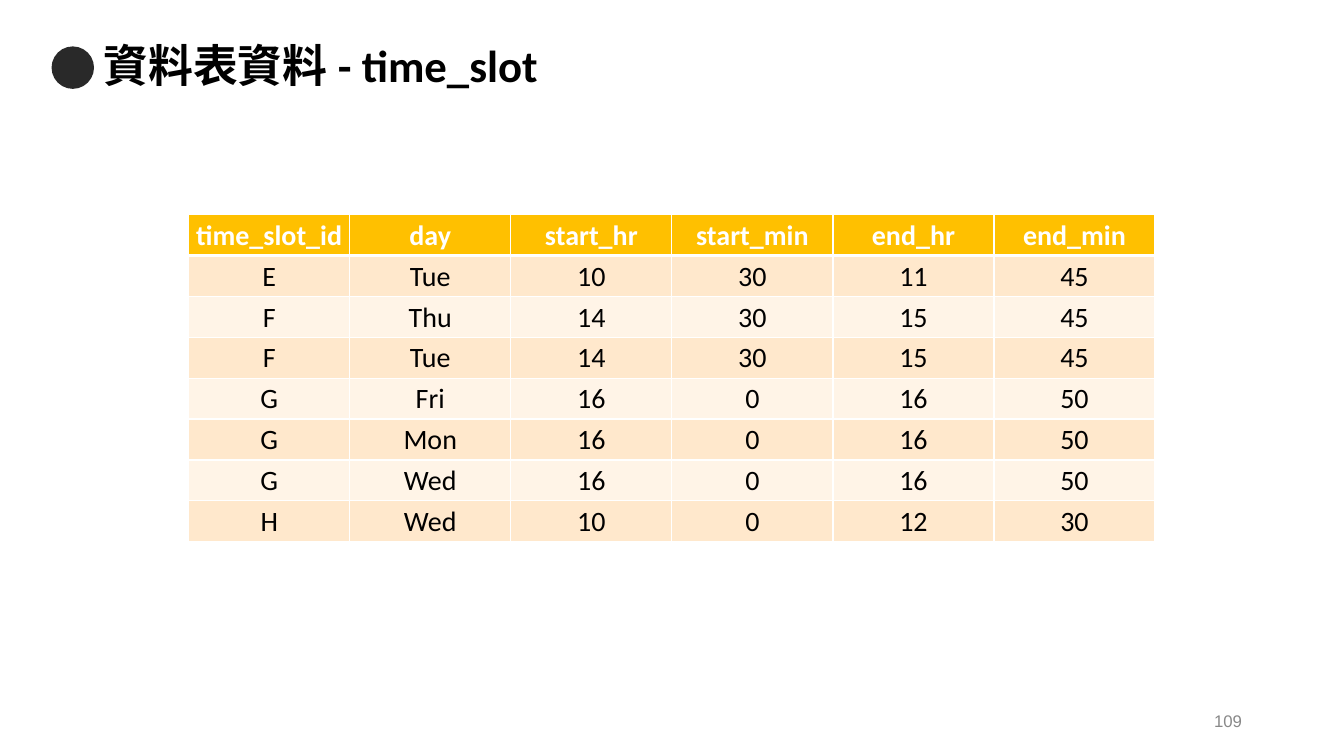
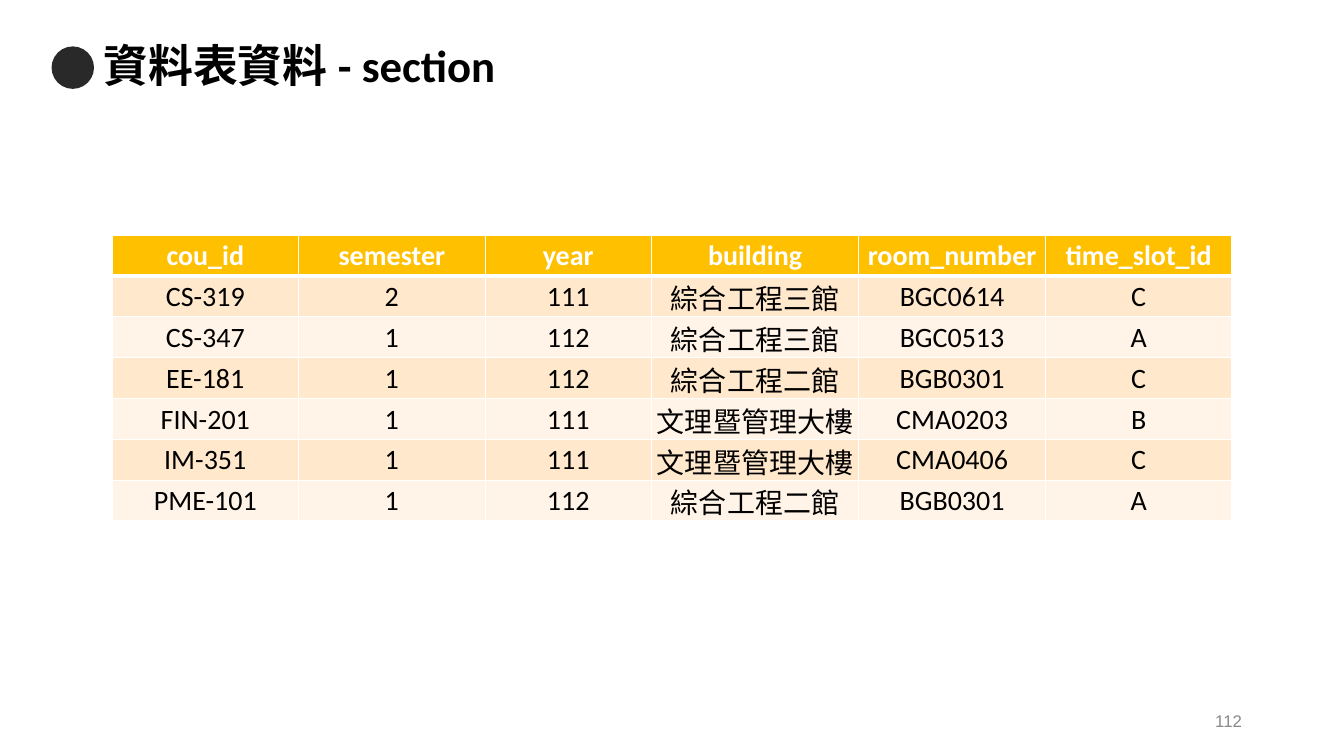
from dataclasses import dataclass

from pptx import Presentation
from pptx.dml.color import RGBColor as Rgb
from pptx.enum.lang import MSO_LANGUAGE_ID as Lang
from pptx.enum.shapes import MSO_SHAPE as Shape
from pptx.enum.text import MSO_ANCHOR as Anchor, PP_ALIGN as Align
from pptx.oxml.ns import qn
from pptx.util import Cm, Pt
from lxml.etree import SubElement


@dataclass(frozen=True)
class Theme:
    ink: str = "000000"
    paper: str = "FFFFFF"
    marker: str = "292929"
    muted: str = "888888"
    header: str = "FFC000"
    bands: tuple = ("FFE8CC", "FFF4E7")
    body_font: str = "Calibri"
    number_font: str = "Arial"
    title_size: int = 32
    table_size: int = 20
    number_size: int = 12
    grid_weight: int = 1
    header_weight: int = 3


class Deck:
    width, height = 33.87, 19.05
    row_height = 1.03

    def __init__(self, theme):
        self.theme = theme
        self.prs = Presentation()
        self.prs.slide_width = Cm(self.width)
        self.prs.slide_height = Cm(self.height)
        self.slide = None

    def add_slide(self, title, number):
        self.slide = self.prs.slides.add_slide(self.prs.slide_layouts[6])
        self.marker()
        self.title(title)
        self.page_number(number)

    def add_text(self, paragraph, text, size, color, font=None, bold=False):
        run = paragraph.add_run()
        run.text = text
        run.font.name = font or self.theme.body_font
        run.font.size = Pt(size)
        run.font.bold = bold
        run.font.color.rgb = Rgb.from_string(color)
        run.font.language_id = Lang.TRADITIONAL_CHINESE

    def text_line(self, left, top, width, height):
        frame = self.slide.shapes.add_textbox(
            Cm(left), Cm(top), Cm(width), Cm(height)).text_frame
        frame.word_wrap = True
        frame.vertical_anchor = Anchor.MIDDLE
        return frame.paragraphs[0]

    def marker(self):
        dot = self.slide.shapes.add_shape(
            Shape.OVAL, Cm(1.3), Cm(1.17), Cm(1.07), Cm(1.07))
        dot.shadow.inherit = False
        dot.fill.solid()
        dot.fill.fore_color.rgb = Rgb.from_string(self.theme.marker)
        dot.line.fill.background()

    def title(self, text):
        heading = self.text_line(2.36, 0.89, 29.18, 1.63)
        heading.line_spacing = 0.9
        self.add_text(heading, text, self.theme.title_size, self.theme.ink, bold=True)

    def page_number(self, number):
        footer = self.text_line(23.93, 17.65, 7.62, 1.02)
        footer.alignment = Align.RIGHT
        self.add_text(footer, str(number), self.theme.number_size,
                      self.theme.muted, self.theme.number_font)

    def borders(self, cell, top, bottom):
        properties = cell._tc.get_or_add_tcPr()
        sides = {"L": self.theme.grid_weight, "R": self.theme.grid_weight,
                 "T": top, "B": bottom}
        for side, weight in sides.items():
            edge = SubElement(properties, qn(f"a:ln{side}"), w=str(Pt(weight)))
            fill = SubElement(edge, qn("a:solidFill"))
            SubElement(fill, qn("a:srgbClr"), val=self.theme.paper)

    def cell(self, cell, text, row):
        theme = self.theme
        is_header = row == 0
        self.borders(cell,
                     theme.header_weight if row == 1 else theme.grid_weight,
                     theme.header_weight if is_header else theme.grid_weight)
        cell.fill.solid()
        cell.fill.fore_color.rgb = Rgb.from_string(
            theme.header if is_header else theme.bands[(row - 1) % 2])
        cell.margin_left = cell.margin_right = cell.margin_top = Cm(0.03)
        cell.margin_bottom = 0
        cell.vertical_anchor = Anchor.MIDDLE
        paragraph = cell.text_frame.paragraphs[0]
        paragraph.alignment = Align.CENTER
        self.add_text(paragraph, text, theme.table_size,
                      theme.paper if is_header else theme.ink, bold=is_header)

    def table(self, top, widths, records):
        total = sum(widths)
        table = self.slide.shapes.add_table(
            len(records), len(widths), Cm((self.width - total) / 2), Cm(top),
            Cm(total), Cm(self.row_height * len(records))).table
        for column, width in zip(table.columns, widths):
            column.width = Cm(width)
        for row, record in enumerate(records):
            table.rows[row].height = Cm(self.row_height)
            for column, text in enumerate(record):
                self.cell(table.cell(row, column), text, row)


TIME_SLOTS = [
    ("time_slot_id", "day", "start_hr", "start_min", "end_hr", "end_min"),
    ("E", "Tue", "10", "30", "11", "45"),
    ("F", "Thu", "14", "30", "15", "45"),
    ("F", "Tue", "14", "30", "15", "45"),
    ("G", "Fri", "16", "0", "16", "50"),
    ("G", "Mon", "16", "0", "16", "50"),
    ("G", "Wed", "16", "0", "16", "50"),
    ("H", "Wed", "10", "0", "12", "30"),
]

SECTIONS = [
    ("cou_id", "semester", "year", "building", "room_number", "time_slot_id"),
    ("CS-319", "2", "111", "綜合工程三館", "BGC0614", "C"),
    ("CS-347", "1", "112", "綜合工程三館", "BGC0513", "A"),
    ("EE-181", "1", "112", "綜合工程二館", "BGB0301", "C"),
    ("FIN-201", "1", "111", "文理暨管理大樓", "CMA0203", "B"),
    ("IM-351", "1", "111", "文理暨管理大樓", "CMA0406", "C"),
    ("PME-101", "1", "112", "綜合工程二館", "BGB0301", "A"),
]


def main():
    deck = Deck(Theme())
    deck.add_slide("資料表資料 - time_slot", 109)
    deck.table(5.41, [4.06] * 6, TIME_SLOTS)
    deck.add_slide("資料表資料 - section", 112)
    deck.table(5.92, [4.7, 4.7, 4.19, 5.23, 4.7, 4.7], SECTIONS)
    deck.prs.save("out.pptx")


if __name__ == "__main__":
    main()
